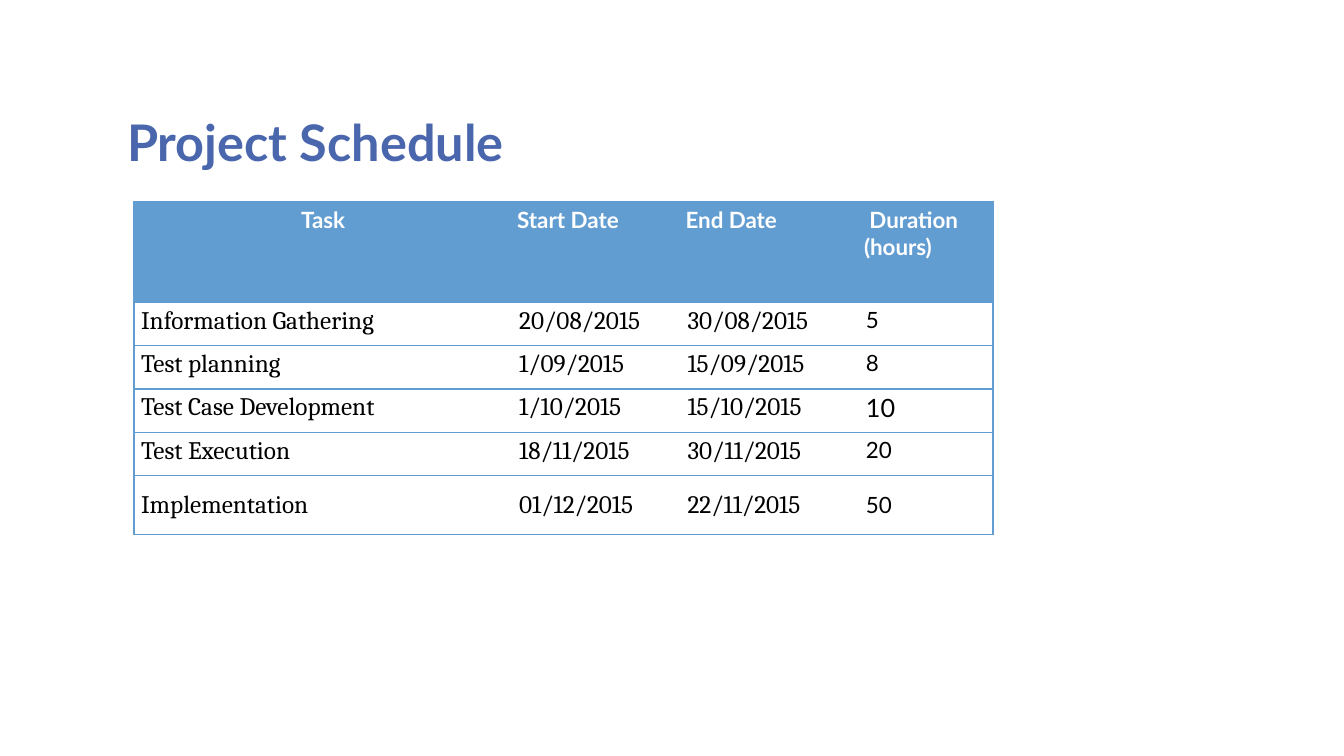
from dataclasses import dataclass

from lxml.etree import SubElement
from pptx import Presentation
from pptx.dml.color import RGBColor
from pptx.enum.text import MSO_ANCHOR as Anchor, PP_ALIGN as Align
from pptx.oxml.ns import qn
from pptx.util import Inches, Pt


@dataclass(frozen=True)
class Theme:
    title_color: str = "4A66AC"
    accent: str = "629DD1"
    paper: str = "FFFFFF"
    ink: str = "000000"
    heading_font: str = "Lato"
    body_font: str = "Cambria"
    title_size: int = 36
    body_size: int = 18
    small_size: int = 16
    border_width: int = 1


THEME = Theme()
COLUMN_WIDTHS = (3.75, 1.67, 1.77, 1.33)
ROW_HEIGHTS = (1, 0.43, 0.43, 0.43, 0.43, 0.58)
HEADINGS = ("Task", "Start Date", "End Date", " Duration\n(hours)")
TASKS = (
    ("Information Gathering", "20/08/2015", "30/08/2015", "5"),
    ("Test planning", "1/09/2015", "15/09/2015", "8"),
    ("Test Case Development", "1/10/2015", "15/10/2015", "10"),
    ("Test Execution", "18/11/2015", "30/11/2015", "20"),
    ("Implementation", "01/12/2015", "22/11/2015", "50"),
)


def set_attributes(target, values):
    for name, value in values.items():
        setattr(target, name, value)


def write_text(frame, text, font, size, color, bold=False, **paragraph_format):
    """Fill a text frame, one paragraph per line, in a single format."""
    frame.text = text
    for paragraph in frame.paragraphs:
        set_attributes(paragraph, {"alignment": Align.LEFT, **paragraph_format})
        for run in paragraph.runs:
            set_attributes(run.font, {"name": font, "size": Pt(size), "bold": bold})
            run.font.color.rgb = RGBColor.from_string(color)


def add_title(slide, text):
    title = slide.shapes.title
    set_attributes(title, {"left": Inches(1.16), "top": Inches(0.58),
                           "width": Inches(9.5), "height": Inches(1.17)})
    write_text(title.text_frame, text, THEME.heading_font, THEME.title_size,
               THEME.title_color, bold=True, line_spacing=0.8)
    title.text_frame.vertical_anchor = Anchor.BOTTOM


def set_borders(cell, visible_sides):
    """Draw the given sides in the accent colour and hide the others."""
    properties = cell._tc.get_or_add_tcPr()
    for side in "LRTB":
        line = SubElement(properties, qn(f"a:ln{side}"),
                          w=str(Pt(THEME.border_width)))
        if side in visible_sides:
            fill = SubElement(line, qn("a:solidFill"))
            SubElement(fill, qn("a:srgbClr"), val=THEME.accent)
        else:
            SubElement(line, qn("a:noFill"))


def format_cell(cell, fill, horizontal_inset, vertical_inset, anchor):
    set_attributes(cell, {"margin_left": Inches(horizontal_inset),
                          "margin_right": Inches(horizontal_inset),
                          "margin_top": Inches(vertical_inset),
                          "margin_bottom": Inches(vertical_inset),
                          "vertical_anchor": anchor})
    cell.fill.solid()
    cell.fill.fore_color.rgb = RGBColor.from_string(fill)


def fill_heading(cell, text):
    alignment = Align.CENTER if text == "Task" else Align.LEFT
    format_cell(cell, THEME.accent, 0.05, 0.05, Anchor.TOP)
    write_text(cell.text_frame, text, THEME.heading_font, THEME.small_size,
               THEME.paper, bold=True, alignment=alignment)


def fill_task_cell(cell, text, is_duration, is_last_task):
    anchor = Anchor.MIDDLE if is_last_task else Anchor.TOP
    font = THEME.heading_font if is_duration else THEME.body_font
    small = is_duration and text != "10"
    format_cell(cell, THEME.paper, 0.07, 0.04, anchor)
    write_text(cell.text_frame, text, font,
               THEME.small_size if small else THEME.body_size, THEME.ink,
               space_after=Pt(6 if is_last_task else 8))


def add_schedule(slide):
    rows = (HEADINGS, *TASKS)
    last_row, last_column = len(rows) - 1, len(HEADINGS) - 1
    table = slide.shapes.add_table(
        len(rows), len(HEADINGS), Inches(1.33), Inches(2),
        Inches(sum(COLUMN_WIDTHS)), Inches(sum(ROW_HEIGHTS))).table
    table.horz_banding = False
    for column, width in zip(table.columns, COLUMN_WIDTHS):
        column.width = Inches(width)
    for row, height in zip(table.rows, ROW_HEIGHTS):
        row.height = Inches(height)
    for row_index, texts in enumerate(rows):
        for column_index, text in enumerate(texts):
            cell = table.cell(row_index, column_index)
            outer_side = {0: "L", last_column: "R"}.get(column_index, "")
            set_borders(cell, "TB" + outer_side)
            if row_index == 0:
                fill_heading(cell, text)
            else:
                fill_task_cell(cell, text, column_index == last_column,
                               row_index == last_row)


def main():
    presentation = Presentation()
    set_attributes(presentation, {"slide_width": Inches(13.33),
                                  "slide_height": Inches(7.5)})
    title_only = presentation.slide_layouts.get_by_name("Title Only")
    slide = presentation.slides.add_slide(title_only)
    add_title(slide, "Project Schedule")
    add_schedule(slide)
    presentation.save("out.pptx")


if __name__ == "__main__":
    main()
